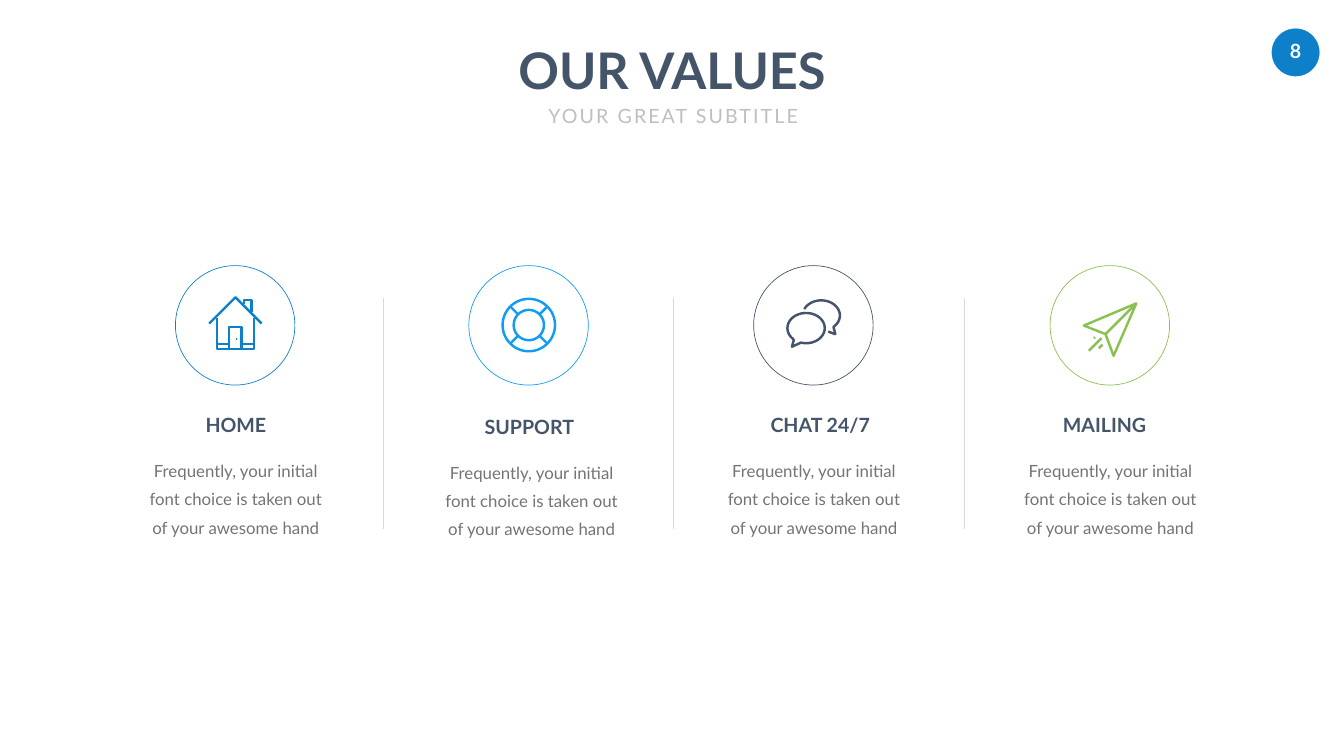
from math import cos, sin, radians
from lxml.etree import SubElement
from pptx import Presentation
from pptx.dml.color import RGBColor
from pptx.enum.shapes import MSO_CONNECTOR, MSO_SHAPE
from pptx.enum.text import MSO_ANCHOR, MSO_AUTO_SIZE, PP_ALIGN
from pptx.oxml.ns import qn
from pptx.util import Inches, Pt


def write(shape, text, size, color, bold=False, pad=(0.1, 0.05), anchor=MSO_ANCHOR.TOP, wrap=False):
    """Fill a shape with one centred paragraph and return that paragraph."""
    frame = shape.text_frame
    frame.auto_size = MSO_AUTO_SIZE.NONE
    frame.word_wrap = wrap
    frame.vertical_anchor = anchor
    frame.margin_left = frame.margin_right = Inches(pad[0])
    frame.margin_top = frame.margin_bottom = Inches(pad[1])
    para = frame.paragraphs[0]
    para.text = text
    para.alignment = PP_ALIGN.CENTER
    para.font.name = "Lato"
    para.font.size = Pt(size)
    para.font.bold = bold
    para.font.color.rgb = RGBColor.from_string(color)
    return para


def arc(x, y, wide, high, start=0, end=360):
    """Points along an ellipse arc, angles in degrees clockwise from the right."""
    turns = [radians(start + (end - start) * i / 60) for i in range(61)]
    return [(x + wide * cos(t), y + high * sin(t)) for t in turns]


NAVY, BLUE, SKY, GREEN = "445469", "0E80C9", "119CF4", "8AC153"
BODY = "Frequently, your initial font choice is taken out of your awesome hand"

# Icon strokes, in inches from the centre of each circle
house = [
    [(-0.52, -0.03), (0, -0.55), (0.52, -0.03)],
    [(-0.37, -0.14), (-0.37, 0.48), (0.37, 0.48), (0.37, -0.14)],
    [(0.17, -0.41), (0.17, -0.5), (0.32, -0.5), (0.32, -0.25)],
    [(-0.13, 0.46), (-0.13, 0.04), (0.12, 0.04), (0.12, 0.46)],
    [(-0.37, 0.38), (-0.13, 0.38)],
    [(0.12, 0.38), (0.37, 0.38)],
    [(0.02, 0.28), (0.03, 0.28)],
]
buoy = [arc(0, 0, 0.52, 0.52), arc(0, 0, 0.3, 0.3)]
for h in (-1, 1):
    for v in (-1, 1):
        buoy.append([(0.21 * h, 0.21 * v), (0.36 * h, 0.36 * v)])
chat = [
    arc(-0.15, 0.06, 0.37, 0.3, 132, 466) + [(-0.43, 0.43), (-0.39, 0.28)],
    arc(0.15, -0.19, 0.37, 0.3, 205, 409) + [(0.43, 0.18), (0.29, 0.13)],
]
plane = [
    [(0.52, -0.43), (-0.52, 0.01), (-0.09, 0.18), (0.07, 0.61), (0.52, -0.43)],
    [(-0.09, 0.18), (0.52, -0.43)],
    [(-0.22, 0.46), (-0.15, 0.39)],
    [(-0.42, 0.51), (-0.17, 0.26)],
    [(-0.32, 0.26), (-0.3, 0.24)],
]

# Name, colour, circle centre, label centre, body centre, drop of the text, icon
values = [
    ("HOME", BLUE, 4.67, 4.68, 4.67, 0, house),
    ("SUPPORT", SKY, 10.49, 10.5, 10.54, 0.03, buoy),
    ("CHAT 24/7", NAVY, 16.14, 16.27, 16.14, 0, chat),
    ("MAILING", GREEN, 22.02, 21.91, 22.02, 0, plane),
]

deck = Presentation()
deck.slide_width, deck.slide_height = Inches(26.66), Inches(15)
slide = deck.slides.add_slide(deck.slide_layouts[5])
shapes = slide.shapes

title = shapes.title
title.left, title.top = Inches(10.08), Inches(0.72)
title.width, title.height = Inches(6.5), Inches(1.31)
write(title, "OUR VALUES", 72, NAVY, bold=True)

box = shapes.add_textbox(Inches(10.56), Inches(1.85), Inches(5.59), Inches(0.81))
para = write(box, "YOUR GREAT SUBTITLE", 28, "BFBFBF", pad=(0.24, 0.12))
para.line_spacing = 1.2
para.space_before = Pt(5.6)
para.runs[0].font._element.set("spc", "300")

badge = shapes.add_shape(MSO_SHAPE.OVAL, Inches(25.23), Inches(0.57), Inches(0.94), Inches(0.94))
badge.shadow.inherit = False
badge.fill.solid()
badge.fill.fore_color.rgb = badge.line.color.rgb = RGBColor.from_string(BLUE)
badge.line.width = Pt(0.5)
write(badge, "8", 28, "FFFFFF", bold=True, pad=(0, 0), anchor=MSO_ANCHOR.MIDDLE)
badge.text_frame.margin_bottom = Inches(0.06)

for name, color, mid, label, body, drop, icon in values:
    ring = shapes.add_shape(MSO_SHAPE.OVAL, Inches(mid - 1.19), Inches(5.27), Inches(2.37), Inches(2.37))
    ring.line.width = Pt(1)

    points = [[(Inches(mid + x), Inches(6.45 + y)) for x, y in stroke] for stroke in icon]
    pen = shapes.build_freeform(*points[0][0])
    for i, stroke in enumerate(points):
        if i:
            pen.move_to(*stroke[0])
        pen.add_line_segments(stroke[1:], close=False)
    sign = pen.convert_to_shape()
    sign.line.width = Pt(3.5)

    for shape in (ring, sign):
        shape.shadow.inherit = False
        shape.fill.background()
        shape.line.color.rgb = RGBColor.from_string(color)
    SubElement(sign.line._get_or_add_ln(), qn("a:round"))

    box = shapes.add_textbox(Inches(label - 1.2), Inches(8.15 + drop), Inches(2.4), Inches(0.57))
    write(box, name, 28, NAVY, bold=True, anchor=MSO_ANCHOR.MIDDLE)

    box = shapes.add_textbox(Inches(body - 2.07), Inches(8.86 + drop), Inches(4.15), Inches(1.92))
    para = write(box, BODY, 24, "737572", pad=(0.24, 0.12), wrap=True)
    para.line_spacing = Pt(40.4)
    para.space_before = Pt(4.8)

for i in range(3):
    x = Inches(7.6 + 5.765 * i)
    rule = shapes.add_connector(MSO_CONNECTOR.STRAIGHT, x, Inches(5.91), x, Inches(10.49))
    rule.line.color.rgb = RGBColor.from_string("D9D9D9")
    rule.line.width = Pt(1)
    SubElement(rule._element.spPr, qn("a:effectLst"))

deck.save("out.pptx")
